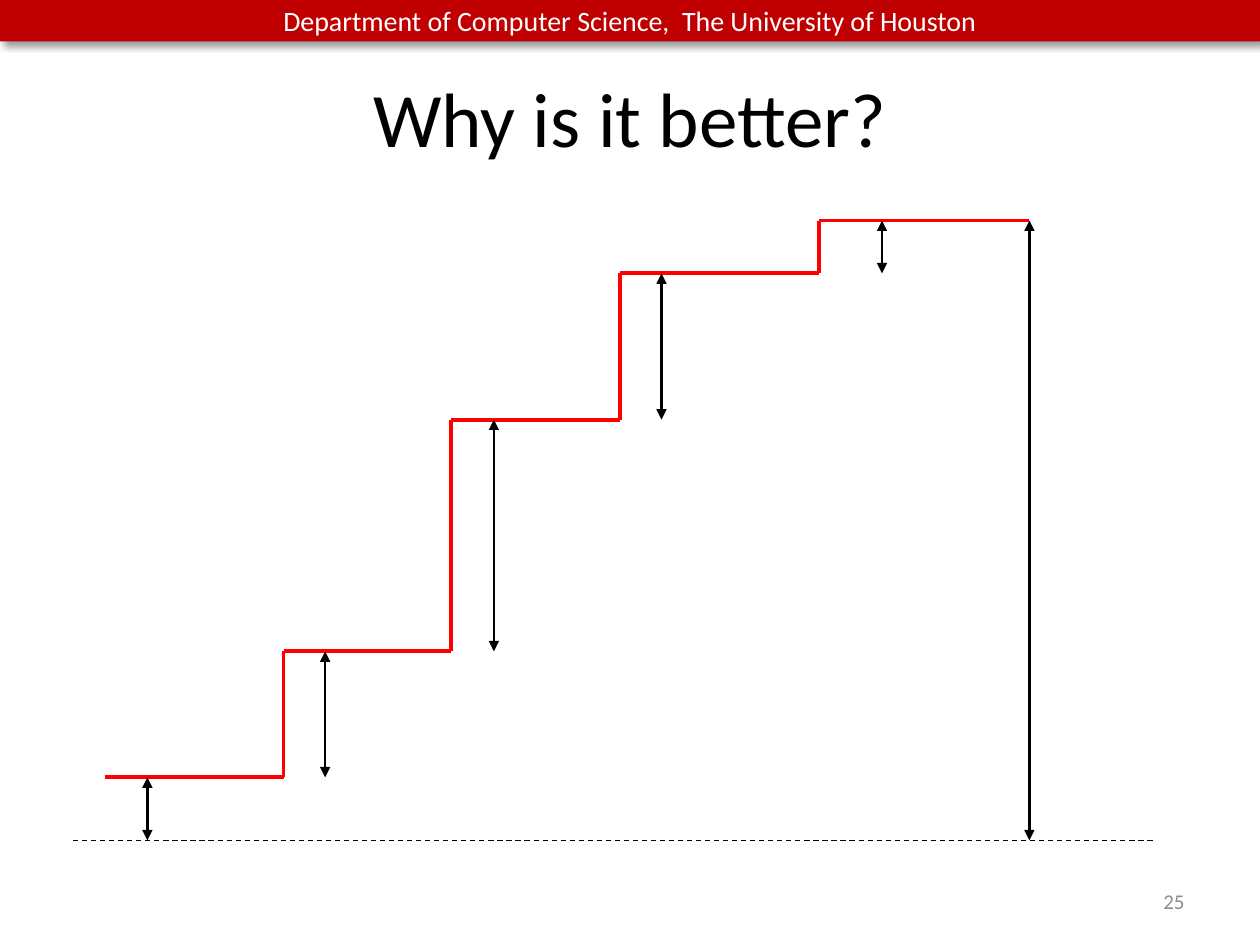
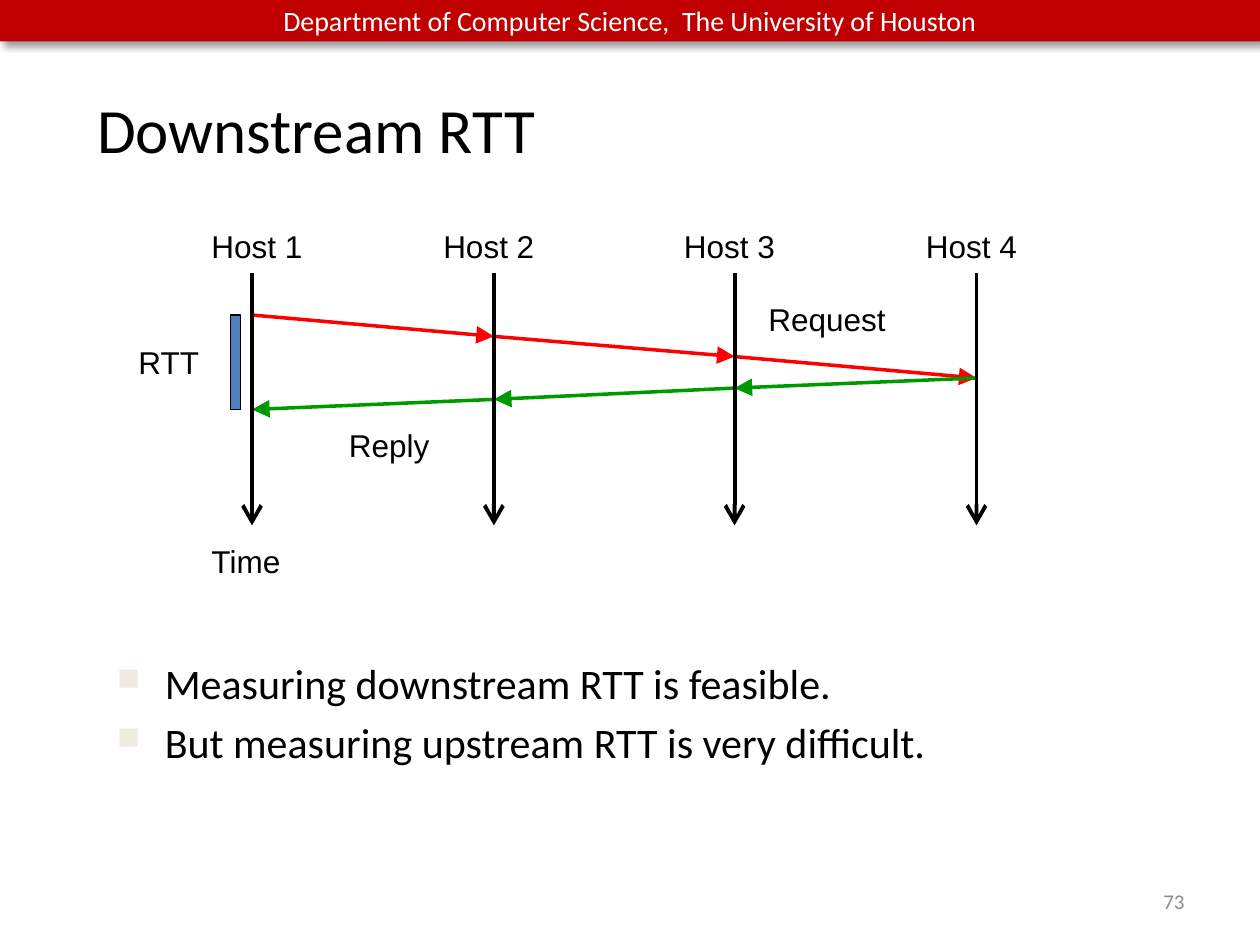
"""Build two networking lecture slides: a staircase plot and a downstream RTT diagram."""
from lxml.etree import SubElement
from pptx import Presentation
from pptx.dml.color import RGBColor
from pptx.enum.dml import MSO_LINE
from pptx.enum.shapes import MSO_CONNECTOR, MSO_SHAPE
from pptx.enum.text import MSO_ANCHOR, PP_ALIGN
from pptx.oxml.ns import qn
from pptx.util import Inches, Pt

BLACK, WHITE, GREY = "000000", "FFFFFF", "8C8C8C"
BAND_RED, RED, GREEN, BLUE, BULLET = "C00000", "FF0000", "009900", "4F81BD", "EEECE1"
color = RGBColor.from_string


def add_line(slide, start, end, line_color, width, head=None, tail=None, size="med"):
    line = slide.shapes.add_connector(
        MSO_CONNECTOR.STRAIGHT, *[Inches(value) for value in (*start, *end)])
    line.line.color.rgb = color(line_color)
    line.line.width = Pt(width)
    for tag, arrow in (("a:headEnd", head), ("a:tailEnd", tail)):
        if arrow:
            SubElement(line.line._get_or_add_ln(), qn(tag), type=arrow, w=size, len=size)
    SubElement(line._element.spPr, qn("a:effectLst"))
    return line


def add_text(slide, box, lines, font="Arial", size=18, text_color=BLACK):
    frame = slide.shapes.add_textbox(*[Inches(value) for value in box]).text_frame
    frame.word_wrap = True
    frame.text = lines
    for paragraph in frame.paragraphs:
        paragraph.font.name = font
        paragraph.font.size = Pt(size)
        paragraph.font.color.rgb = color(text_color)
    return frame


prs = Presentation()
prs.slide_width, prs.slide_height = Inches(10), Inches(7.5)

pages = [
    ("Why is it better?", "25", (0.5, 0.3, 9, 1.25), 44, PP_ALIGN.CENTER, MSO_ANCHOR.MIDDLE),
    ("Downstream RTT", "73", (0.67, 0.67, 6.92, 0.71), 36, PP_ALIGN.LEFT, MSO_ANCHOR.TOP),
]
for heading, number, title_box, title_size, alignment, anchor in pages:
    slide = prs.slides.add_slide(prs.slide_layouts[5])

    band = slide.shapes.add_shape(MSO_SHAPE.RECTANGLE, 0, 0, prs.slide_width, Inches(0.33))
    band.fill.solid()
    band.fill.fore_color.rgb = color(BAND_RED)
    band.line.fill.background()
    band.shadow.inherit = False
    shadow = SubElement(band._element.spPr.find(qn("a:effectLst")), qn("a:outerShdw"),
                        blurRad=str(Pt(4)), dist=str(Pt(3)), dir="2700000",
                        algn="tl", rotWithShape="0")
    shade = SubElement(shadow, qn("a:srgbClr"), val=BLACK)
    SubElement(shade, qn("a:alpha"), val="40000")
    band.text_frame.text = "Department of Computer Science,  The University of Houston"
    band.text_frame.vertical_anchor = MSO_ANCHOR.MIDDLE
    department = band.text_frame.paragraphs[0]
    department.alignment = PP_ALIGN.CENTER
    department.font.name = "Calibri"
    department.font.size = Pt(16)
    department.font.color.rgb = color(WHITE)

    title = slide.shapes.title
    title.left, title.top, title.width, title.height = [Inches(value) for value in title_box]
    title.text_frame.text = heading
    title.text_frame.vertical_anchor = anchor
    title_line = title.text_frame.paragraphs[0]
    title_line.alignment = alignment
    title_line.font.name = "Calibri"
    title_line.font.size = Pt(title_size)
    title_line.font.color.rgb = color(BLACK)

    page_number = add_text(slide, (7.17, 6.95, 2.33, 0.4), number, "Calibri", 12, GREY)
    page_number.vertical_anchor = MSO_ANCHOR.MIDDLE
    page_number.paragraphs[0].alignment = PP_ALIGN.RIGHT

staircase, downstream = prs.slides

step_edges = [0.83, 2.25, 3.58, 4.92, 6.5, 8.17]
step_levels = [6.17, 5.17, 3.33, 2.17, 1.75]
baseline = 6.67
corners = []
for left, right, level in zip(step_edges, step_edges[1:], step_levels):
    corners += [(left, level), (right, level)]
for start, end in zip(corners, corners[1:]):
    add_line(staircase, start, end, RED, 2.25)

rises = list(zip([1.17, 2.58, 3.92, 5.25, 7], step_levels, [baseline] + step_levels))
total_rise = (step_edges[-1], step_levels[-1], baseline)
for x, top, bottom in rises + [total_rise]:
    add_line(staircase, (x, top), (x, bottom), BLACK, 1.5, "triangle", "triangle")
ground = add_line(staircase, (0.58, baseline), (9.17, baseline), BLACK, 0.75)
ground.line.dash_style = MSO_LINE.DASH

hosts = [2, 3.92, 5.83, 7.75]
request_points = list(zip(hosts, [2.5, 2.67, 2.83, 3]))
reply_points = list(zip(hosts, [3.25, 3.17, 3.08, 3]))
for start, end in zip(request_points, request_points[1:]):
    add_line(downstream, start, end, RED, 2, tail="triangle", size="lg")
for end, start in zip(reply_points, reply_points[1:]):
    add_line(downstream, start, end, GREEN, 2, tail="triangle", size="lg")
for index, (host, label_left) in enumerate(zip(hosts, [1.58, 3.42, 5.33, 7.25]), 1):
    add_line(downstream, (host, 2.17), (host, 4.17), BLACK, 2.25, tail="arrow", size="lg")
    add_text(downstream, (label_left, 1.75, 1.17, 0.4), f"Host {index}")

rtt_span = downstream.shapes.add_shape(
    MSO_SHAPE.RECTANGLE, Inches(1.83), Inches(2.5), Inches(0.08), Inches(0.75))
rtt_span.shadow.inherit = False
rtt_span.fill.solid()
rtt_span.fill.fore_color.rgb = color(BLUE)
rtt_span.line.color.rgb = color(BLACK)
rtt_span.line.width = Pt(0.75)

for label, left, top, width in [("Request", 6, 2.33, 1.17), ("Reply", 2.67, 3.33, 0.92),
                                ("RTT", 1, 2.67, 0.92), ("Time", 1.58, 4.25, 0.92)]:
    add_text(downstream, (left, top, width, 0.4), label)

findings = add_text(
    downstream, (0.83, 5.17, 9, 1.33),
    "Measuring downstream RTT is feasible.\nBut measuring upstream RTT is very difficult.",
    "Calibri", 24)
for finding in findings.paragraphs:
    finding.alignment = PP_ALIGN.JUSTIFY
    finding.space_before = Pt(5)
    properties = finding._p.get_or_add_pPr()
    properties.set("marL", str(Inches(0.38)))
    properties.set("indent", str(-Inches(0.38)))
    bullet_color = properties.makeelement(qn("a:buClr"))
    SubElement(bullet_color, qn("a:srgbClr"), val=BULLET)
    bullet_size = properties.makeelement(qn("a:buSzPct"), val="75000")
    bullet_mark = properties.makeelement(qn("a:buChar"), char="■")
    font_properties = properties.find(qn("a:defRPr"))
    for part in (bullet_color, bullet_size, bullet_mark):
        font_properties.addprevious(part)

prs.save("out.pptx")
